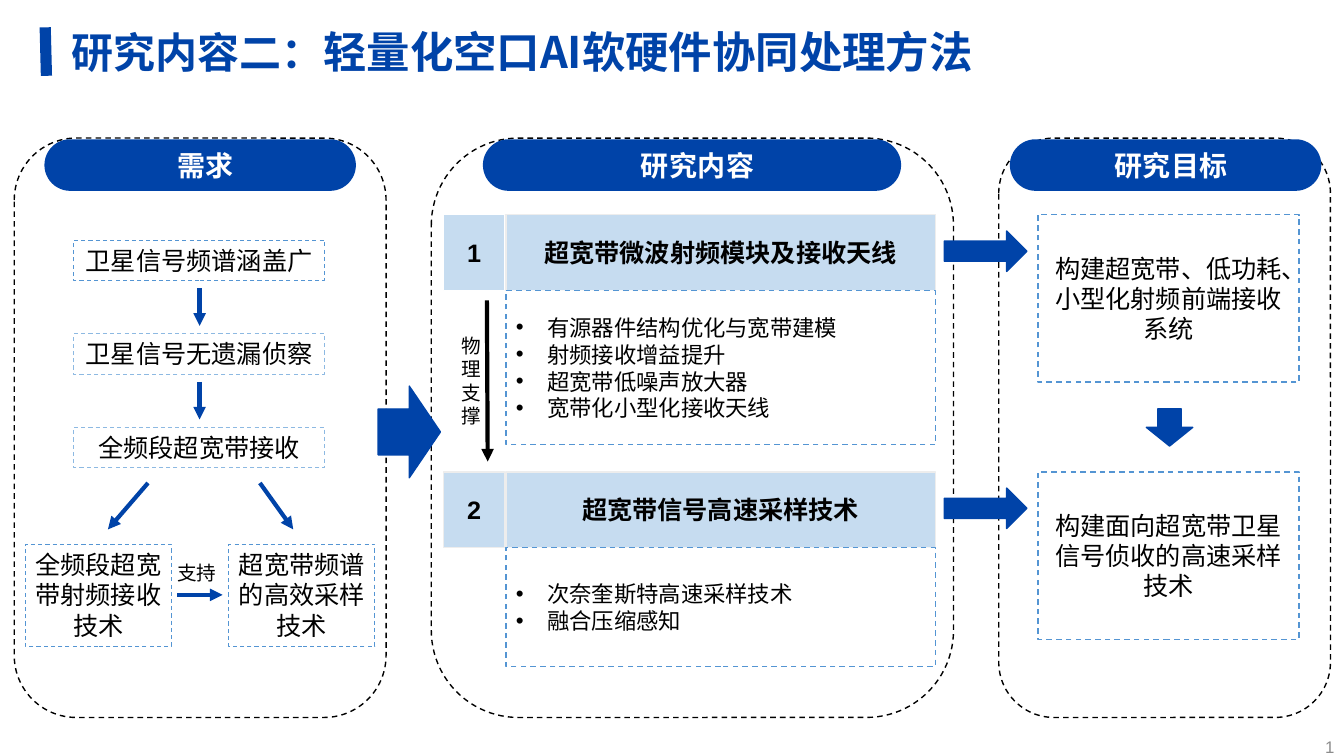
"""Builds the slide on hardware and software co-processing for lightweight air-interface AI."""
from lxml.etree import SubElement
from pptx import Presentation
from pptx.dml.color import RGBColor
from pptx.enum.dml import MSO_LINE_DASH_STYLE as DASH
from pptx.enum.shapes import MSO_CONNECTOR as LINK, MSO_SHAPE as SHAPE
from pptx.enum.text import MSO_ANCHOR as ANCHOR, PP_ALIGN as ALIGN
from pptx.oxml.ns import qn
from pptx.util import Cm, Pt

BLUE, PALE, EDGE, SOFT = "0043A8", "C6DCF0", "5495D3", "8DB9E2"
BLACK, WHITE, GRAY, RIM = "000000", "FFFFFF", "8C8C8C", "EDEDED"
HAN, LATIN = "Noto Sans CJK SC", "Arial"

TITLE = [("研究内容二：", 30), ("轻量化空口AI软硬件协同处理方法", 31)]
PANELS = [
    ("需求", (0.36, 9.37), (1.12, 7.85)),
    ("研究内容", (10.87, 13.16), (12.17, 10.54)),
    ("研究目标", (25.17, 8.36), (25.45, 7.85)),
]
NEEDS = [("卫星信号频谱涵盖广", EDGE), ("卫星信号无遗漏侦察", SOFT), ("全频段超宽带接收", SOFT)]
TECHNIQUES = [("全频段超宽带射频接收技术", 0.64), ("超宽带频谱的高效采样技术", 5.77)]
TOPICS = [
    ("超宽带微波射频模块及接收天线",
     ["有源器件结构优化与宽带建模", "射频接收增益提升", "超宽带低噪声放大器", "宽带化小型化接收天线"],
     3.89, "构建超宽带、低功耗、小型化射频前端接收系统"),
    ("超宽带信号高速采样技术",
     ["次奈奎斯特高速采样技术", "融合压缩感知"],
     3.0, "构建面向超宽带卫星信号侦收的高速采样技术"),
]
LABELS = [("物理支撑", (11.38, 8.28, 0.66, 2.64), ALIGN.CENTER),
          ("支持", (4.22, 14.0, 1.65, 0.86), ALIGN.LEFT)]
ARROWS = [
    ((3.73, 12.17), (2.72, 13.34), BLUE),
    ((6.55, 12.17), (7.39, 13.34), BLUE),
    ((4.47, 14.99), (5.61, 14.99), BLUE),
    ((12.27, 7.57), (12.29, 11.63), BLACK),
]
NEED_TOP, NEED_STEP, NEED_HEIGHT = 6.05, 2.36, 1.02
TOPIC_TOP, TOPIC_STEP, TOPIC_HEIGHT = 5.41, 6.48, 1.91

deck = Presentation()
deck.slide_width, deck.slide_height = Cm(33.87), Cm(19.05)
slide = deck.slides.add_slide(deck.slide_layouts[6])


def rgb(code):
    return RGBColor.from_string(code)


def style(run, size, color=BLACK, bold=False, font=HAN):
    run.font.size, run.font.bold, run.font.name = Pt(size), bold, font
    run.font.color.rgb = rgb(color)
    SubElement(run.font._element, qn("a:ea")).set("typeface", font)


def write(holder, lines, size, color=BLACK, bold=False, font=HAN,
          align=ALIGN.CENTER, anchor=ANCHOR.MIDDLE):
    frame = holder.text_frame
    frame.text = "\n".join(lines)
    frame.word_wrap, frame.vertical_anchor = True, anchor
    for paragraph in frame.paragraphs:
        paragraph.alignment = align
        for run in paragraph.runs:
            style(run, size, color, bold, font)
    return frame.paragraphs


def indent(paragraph, left, first):
    props = paragraph._p.get_or_add_pPr()
    props.set("marL", str(Cm(left)))
    props.set("indent", str(Cm(first)))
    return props


def block(kind, box, fill=WHITE, edge=None, width=1, dashed=False):
    shape = slide.shapes.add_shape(kind, *map(Cm, box))
    shape.shadow.inherit = False
    shape.fill.solid()
    shape.fill.fore_color.rgb = rgb(fill)
    if edge is None:
        shape.line.fill.background()
    else:
        shape.line.color.rgb, shape.line.width = rgb(edge), Pt(width)
        if dashed:
            shape.line.dash_style = DASH.DASH
    return shape


def stroke(start, end, color, width=3, arrow=True):
    line = slide.shapes.add_connector(LINK.STRAIGHT, *map(Cm, start + end))
    line.line.color.rgb, line.line.width = rgb(color), Pt(width)
    if arrow:
        SubElement(line.line._get_or_add_ln(), qn("a:tailEnd")).set("type", "triangle")
    SubElement(line._element.spPr, qn("a:effectLst"))


def textbox(box):
    return slide.shapes.add_textbox(*map(Cm, box))


def heading():
    stroke((1.14, 0.69), (1.17, 1.91), BLUE, 8, arrow=False)
    frame = textbox((1.8, 0.23, 27.71, 2.11)).text_frame
    frame.word_wrap, frame.vertical_anchor = True, ANCHOR.MIDDLE
    frame.margin_left = frame.margin_right = frame.margin_top = frame.margin_bottom = 0
    for words, size in TITLE:
        run = frame.paragraphs[0].add_run()
        run.text = words
        style(run, size, BLUE, True)
    write(textbox((31.01, 18.34, 2.87, 0.97)), ["1"], 12, GRAY, font=LATIN, align=ALIGN.RIGHT)


def panels():
    for name, (left, width), (head_left, head_width) in PANELS:
        block(SHAPE.ROUNDED_RECTANGLE, (left, 3.48, width, 14.6), WHITE, BLACK, 1, True)
        head = block(SHAPE.ROUNDED_RECTANGLE, (head_left, 3.51, head_width, 1.3), BLUE)
        head.adjustments[0] = 0.5
        paragraph = write(head, [name], 20, WHITE, True)[0]
        indent(paragraph, 0.94, -0.66)
        paragraph.runs[0].font._element.set("spc", "30")


def needs():
    for row, (need, edge) in enumerate(NEEDS):
        top = NEED_TOP + row * NEED_STEP
        box = block(SHAPE.RECTANGLE, (1.86, top, 6.32, NEED_HEIGHT), WHITE, edge, 0.75, True)
        write(box, [need], 18, anchor=ANCHOR.TOP)
        if row < len(NEEDS) - 1:
            stroke((5.03, top + 1.21), (5.03, top + 2.16), BLUE)
    for technique, left in TECHNIQUES:
        box = block(SHAPE.RECTANGLE, (left, 13.72, 3.68, 2.57), WHITE, EDGE, 0.75, True)
        write(box, [technique], 18, anchor=ANCHOR.TOP)


def topics():
    for row, (topic, details, height, goal) in enumerate(TOPICS):
        top = TOPIC_TOP + row * TOPIC_STEP
        name = block(SHAPE.RECTANGLE, (12.75, top, 10.82, TOPIC_HEIGHT), PALE, RIM)
        write(name, [topic], 18, bold=True)
        number = block(SHAPE.RECTANGLE, (11.18, top, 1.54, TOPIC_HEIGHT), PALE, RIM if row else WHITE)
        write(number, [str(row + 1)], 18, bold=True, font=LATIN)
        detail = block(SHAPE.RECTANGLE, (12.75, top + TOPIC_HEIGHT, 10.82, height),
                       WHITE, EDGE, 1, True)
        for paragraph in write(detail, details, 16, align=ALIGN.LEFT):
            props = indent(paragraph, 0.79, -0.79)
            SubElement(props, qn("a:buFont")).set("typeface", LATIN)
            SubElement(props, qn("a:buChar")).set("char", "•")
        target = block(SHAPE.RECTANGLE, (26.16, top, 6.58, 4.22), WHITE, EDGE, 1, True)
        write(target, [goal], 18)
        block(SHAPE.RIGHT_ARROW, (23.8, top + 0.41, 2.08, 1.02), BLUE, BLUE)


def links():
    block(SHAPE.RIGHT_ARROW, (9.53, 9.73, 1.57, 2.31), BLUE, BLUE)
    block(SHAPE.DOWN_ARROW, (28.89, 10.3, 1.17, 0.94), BLUE, BLUE)
    for start, end, color in ARROWS:
        stroke(start, end, color)
    for words, box, align in LABELS:
        write(textbox(box), [words], 14, align=align, anchor=ANCHOR.TOP)


if __name__ == "__main__":
    heading()
    panels()
    needs()
    topics()
    links()
    deck.save("out.pptx")
